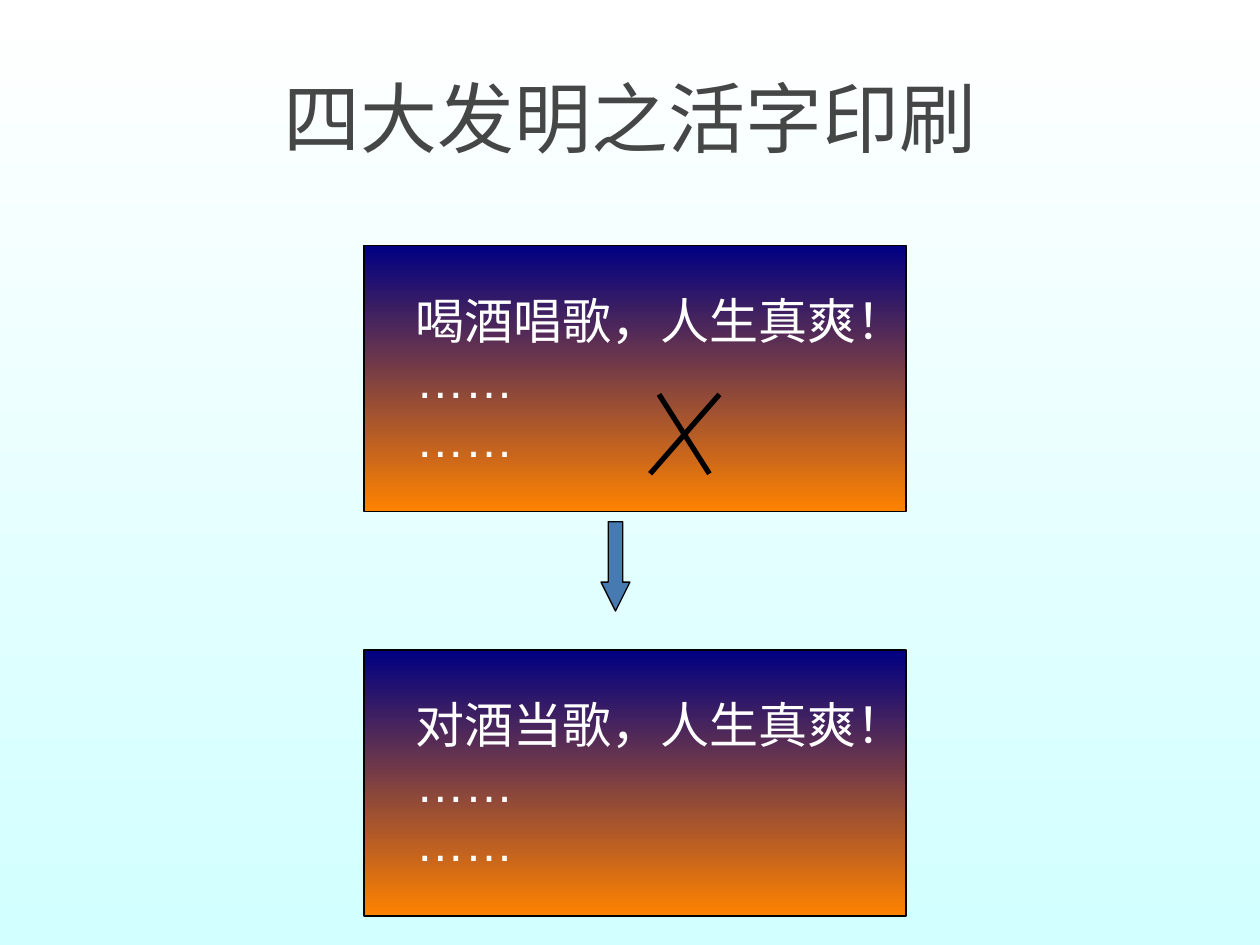
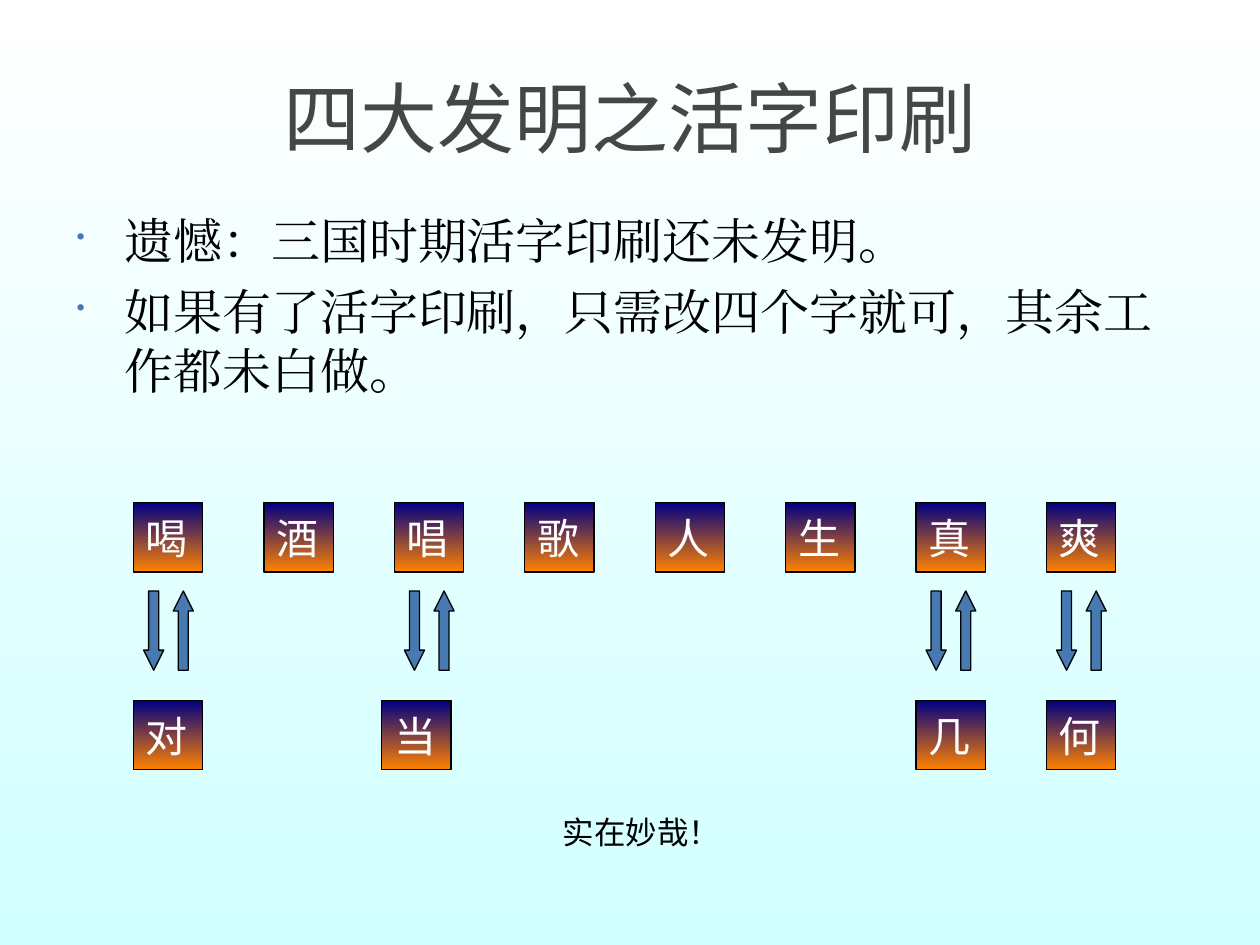
"""Build two slides on how movable type saves reworking a printed verse."""
import dataclasses
from typing import Any

import lxml.etree
import pptx
import pptx.dml.color
import pptx.enum.shapes
import pptx.enum.text
import pptx.oxml.ns
import pptx.util

SLIDE_WIDTH = pptx.util.Inches(10)
SLIDE_HEIGHT = pptx.util.Inches(7.5)
COLUMNS, ROWS = 100, 75

WHITE = pptx.dml.color.RGBColor(0xFF, 0xFF, 0xFF)
BLACK = pptx.dml.color.RGBColor(0x00, 0x00, 0x00)
PALE_CYAN = pptx.dml.color.RGBColor(0xD2, 0xFF, 0xFF)
NAVY = pptx.dml.color.RGBColor(0x00, 0x00, 0x82)
ORANGE = pptx.dml.color.RGBColor(0xFF, 0x82, 0x00)
STEEL = pptx.dml.color.RGBColor(0x47, 0x7A, 0xB1)
CHARCOAL = pptx.dml.color.RGBColor(0x45, 0x47, 0x46)

SHAPES = pptx.enum.shapes.MSO_SHAPE
ALIGN = pptx.enum.text.PP_ALIGN
ANCHOR = pptx.enum.text.MSO_ANCHOR

TITLE = "四大发明之活字印刷"
POINTS = ("遗憾：三国时期活字印刷还未发明。",
          "如果有了活字印刷，只需改四个字就可，其余工作都未白做。")
OLD_VERSE = "喝酒唱歌人生真爽"
TILE_SIZE, TILE_LEFT, TILE_PITCH = 5.5, 10.6, 10.35
OLD_ROW, ARROW_ROW, NEW_ROW = 39.9, 46.9, 55.6


@dataclasses.dataclass(frozen=True)
class Area:
    """A rectangle in grid columns and rows."""
    left: float
    top: float
    width: float
    height: float

    def lengths(self) -> tuple[int, int, int, int]:
        """Return left, top, width and height as slide lengths."""
        return (across(self.left), down(self.top),
                across(self.width), down(self.height))


@dataclasses.dataclass(frozen=True)
class TextStyle:
    """Font, size and colour of a text."""
    font: str
    size: int
    color: pptx.dml.color.RGBColor


@dataclasses.dataclass(frozen=True)
class Replacement:
    """A new character, the tile it replaces and its sideways shift."""
    character: str
    tile: int
    shift: float = 0


TITLE_STYLE = TextStyle("Roboto", 44, CHARCOAL)
POINT_STYLE = TextStyle("Cambria", 28, BLACK)
VERSE_STYLE = TextStyle("Arial", 28, WHITE)
TILE_STYLE = TextStyle("Arial", 24, WHITE)
REMARK_STYLE = TextStyle("Noto Sans CJK SC", 18, BLACK)

REPLACEMENTS = (Replacement("对", 0), Replacement("当", 2, -1),
                Replacement("几", 6), Replacement("何", 7))
VERSE_PLATES = (("喝酒唱歌，人生真爽！", 19.5), ("对酒当歌，人生真爽！", 51.6))
CROSS_STROKES = ((57.1, 31.3, 51.6, 37.6), (52.3, 31.3, 56.3, 37.6))


def across(columns: float) -> int:
    """Convert grid columns to a slide length."""
    return round(SLIDE_WIDTH * columns / COLUMNS)


def down(rows: float) -> int:
    """Convert grid rows to a slide length."""
    return round(SLIDE_HEIGHT * rows / ROWS)


def apply(target: Any, values: dict[str, Any]) -> None:
    """Set every named value on the target."""
    for name, value in values.items():
        setattr(target, name, value)


def add_element(parent: Any, tag: str, **attributes: str) -> Any:
    """Append a drawing element and return it."""
    return lxml.etree.SubElement(parent, pptx.oxml.ns.qn(tag), attributes)


def paint_gradient(fill: Any, *colors: pptx.dml.color.RGBColor) -> None:
    """Fill from the first colour at the top to the last at the bottom."""
    fill.gradient()
    fill.gradient_angle = 270
    for stop, color in zip(fill.gradient_stops, colors):
        stop.color.rgb = color


def write(box: Any, lines: tuple[str, ...], style: TextStyle,
          paragraph_format: dict[str, Any] | None = None,
          **frame_format: Any) -> None:
    """Write one paragraph a line in the given style."""
    frame = box.text_frame
    apply(frame, frame_format)
    for index, line in enumerate(lines):
        para = frame.add_paragraph() if index else frame.paragraphs[0]
        apply(para, {"alignment": ALIGN.LEFT} | (paragraph_format or {}))
        span = para.add_run()
        span.text = line
        apply(span.font, {"name": style.font, "size": pptx.util.Pt(style.size)})
        span.font.color.rgb = style.color
        add_element(span._r.get_or_add_rPr(), "a:ea", typeface=style.font)


def add_outlined(page: Any, kind: Any, area: Area) -> Any:
    """Add a preset shape with a thin black line and no shadow."""
    shape = page.shapes.add_shape(kind, *area.lengths())
    shape.shadow.inherit = False
    shape.line.color.rgb = BLACK
    shape.line.width = pptx.util.Pt(0.75)
    return shape


def add_plate(page: Any, area: Area, lines: tuple[str, ...],
              style: TextStyle, inset: float = 1) -> None:
    """Add a printing plate that carries text."""
    plate = add_outlined(page, SHAPES.RECTANGLE, area)
    paint_gradient(plate.fill, NAVY, ORANGE)
    write(plate, lines, style, word_wrap=False, margin_left=across(inset),
          vertical_anchor=ANCHOR.MIDDLE)


def add_arrow(page: Any, kind: Any, area: Area) -> None:
    """Add a block arrow."""
    arrow = add_outlined(page, kind, area)
    arrow.fill.solid()
    arrow.fill.fore_color.rgb = STEEL
    arrow.adjustments[0], arrow.adjustments[1] = 0.5, 1


def add_stroke(page: Any, left: float, top: float,
               right: float, bottom: float) -> None:
    """Add one thick stroke of the cross."""
    stroke = page.shapes.add_connector(
        pptx.enum.shapes.MSO_CONNECTOR.STRAIGHT,
        across(left), down(top), across(right), down(bottom))
    stroke.line.color.rgb = BLACK
    stroke.line.width = pptx.util.Pt(3)
    add_element(stroke._element.spPr, "a:effectLst")


def add_page(deck: Any) -> Any:
    """Add a slide with the shared title."""
    page = deck.slides.add_slide(deck.slide_layouts[5])
    title = page.shapes.title
    names = ("left", "top", "width", "height")
    apply(title, dict(zip(names, Area(5, 3, 90, 12.5).lengths())))
    write(title, (TITLE,), TITLE_STYLE, {"alignment": ALIGN.CENTER},
          word_wrap=True, vertical_anchor=ANCHOR.MIDDLE)
    return page


def add_points(page: Any) -> None:
    """Add the bulleted points."""
    box = page.shapes.add_textbox(*Area(5.1, 16.2, 89, 18.9).lengths())
    write(box, POINTS, POINT_STYLE, {"space_before": pptx.util.Pt(7)},
          word_wrap=True)
    indent = across(3.8)
    for para in box.text_frame.paragraphs:
        properties = para._p.get_or_add_pPr()
        properties.set("marL", str(indent))
        properties.set("indent", str(-indent))
        add_element(add_element(properties, "a:buClr"), "a:srgbClr",
                    val=str(STEEL))
        add_element(properties, "a:buSzPct", val="50000")
        add_element(properties, "a:buChar", char="•")


def add_tile(page: Any, character: str, left: float, top: float) -> None:
    """Add one piece of type."""
    add_plate(page, Area(left, top, TILE_SIZE, TILE_SIZE), (character,), TILE_STYLE)


def build_correction(deck: Any) -> None:
    """Build the slide that corrects the whole plate."""
    page = add_page(deck)
    for verse, top in VERSE_PLATES:
        add_plate(page, Area(28.9, top, 43, 21.1), (verse, "……", "……"),
                  VERSE_STYLE, 4.1)
    for stroke in CROSS_STROKES:
        add_stroke(page, *stroke)
    add_arrow(page, SHAPES.DOWN_ARROW, Area(47.7, 41.4, 2.3, 7.1))


def build_movable_type(deck: Any) -> None:
    """Build the slide that swaps single pieces of type."""
    page = add_page(deck)
    add_points(page)
    for index, character in enumerate(OLD_VERSE):
        add_tile(page, character, TILE_LEFT + index * TILE_PITCH, OLD_ROW)
    for swap in REPLACEMENTS:
        left = TILE_LEFT + swap.tile * TILE_PITCH
        add_tile(page, swap.character, left + swap.shift, NEW_ROW)
        for kind, offset in ((SHAPES.DOWN_ARROW, 0.8), (SHAPES.UP_ARROW, 3.15)):
            add_arrow(page, kind, Area(left + offset, ARROW_ROW, 1.6, 6.3))
    remark = page.shapes.add_textbox(*Area(43.7, 64, 25, 5).lengths())
    write(remark, ("实在妙哉！",), REMARK_STYLE, word_wrap=False)


def main() -> None:
    """Build and save the deck."""
    deck = pptx.Presentation()
    apply(deck, {"slide_width": SLIDE_WIDTH, "slide_height": SLIDE_HEIGHT})
    paint_gradient(deck.slide_master.background.fill, WHITE, PALE_CYAN)
    build_correction(deck)
    build_movable_type(deck)
    deck.save("out.pptx")


if __name__ == "__main__":
    main()
